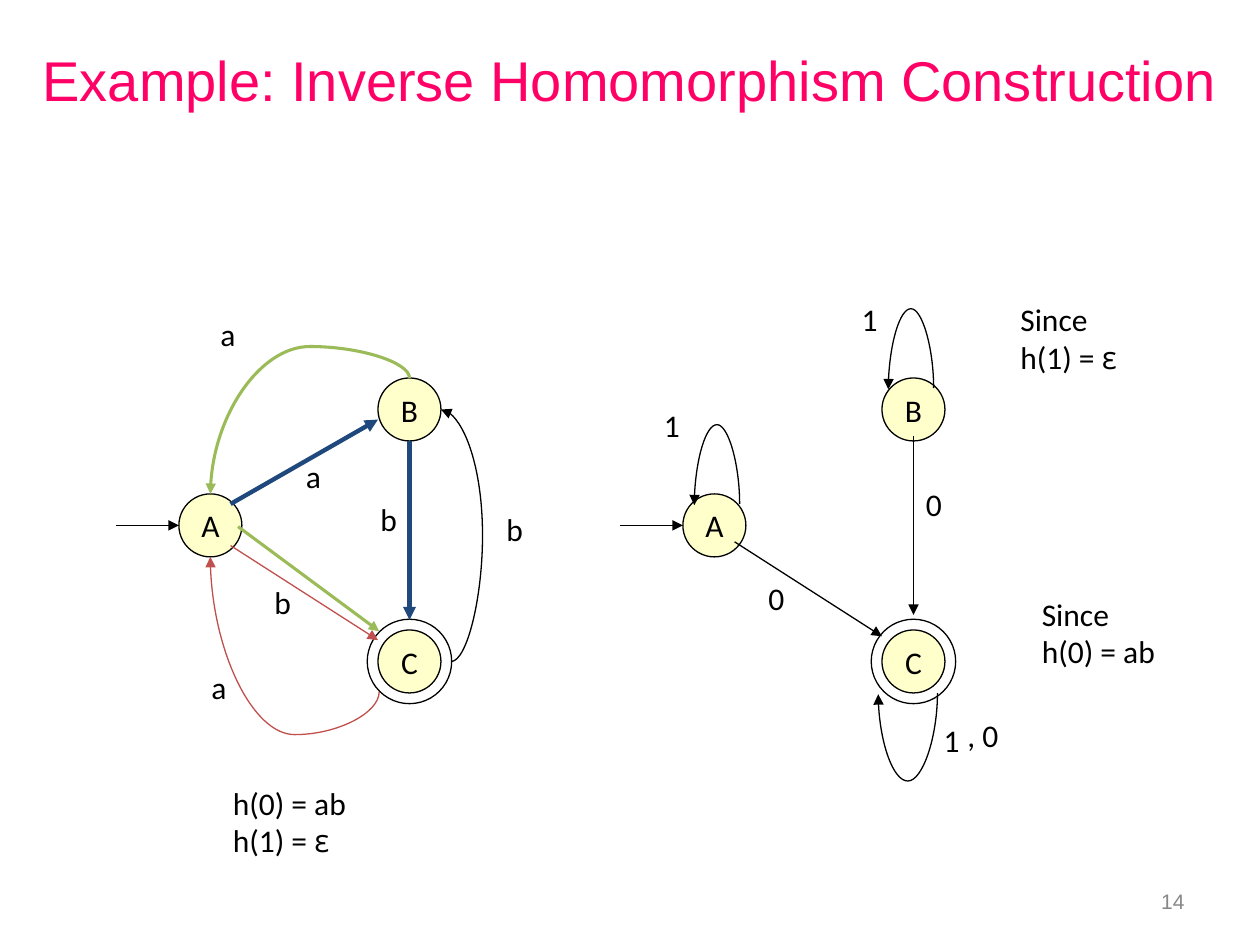
import pptx
import pptx.dml.color
import pptx.enum.shapes
import pptx.enum.text
import pptx.util
from pptx.oxml.ns import qn
from pptx.oxml.xmlchemy import OxmlElement
from pptx.util import Inches

COLORS = {"ink": "000000", "title": "FF0066", "state": "FFFF99", "number": "888888",
          "blue": "1F497D", "green": "9BBB59", "red": "C0504D"}
CONNECTOR = pptx.enum.shapes.MSO_CONNECTOR
ALIGN = pptx.enum.text.PP_ALIGN
MIDDLE = pptx.enum.text.MSO_ANCHOR.MIDDLE
STATES = {"A": (0.5, 1.59), "B": (2.08, 0.67), "C": (2.08, 2.67)}
STATE_SIZE, RING_SIZE = 0.5, 0.67


def rgb(name):
    return pptx.dml.color.RGBColor.from_string(COLORS[name])


def add_child(parent, tag, **attributes):
    child = OxmlElement(tag)
    for key, value in attributes.items():
        child.set(key, str(value))
    parent.append(child)


def style(font, size=18, color="ink", name="Calibri"):
    font.size = pptx.util.Pt(size)
    font.name = name
    font.color.rgb = rgb(color)


def add_text(slide, left, top, lines, width=0.39, height=0.5):
    """Epsilon gets a run of its own, in its own font."""
    frame = slide.shapes.add_textbox(Inches(left), Inches(top),
                                     Inches(width), Inches(height)).text_frame
    frame.word_wrap = True
    for index, line in enumerate(lines):
        paragraph = frame.add_paragraph() if index else frame.paragraphs[0]
        for part in filter(None, line.partition("ε")):
            run = paragraph.add_run()
            run.text = part
            style(run.font, name="Open Sans" if part == "ε" else "Calibri")
    return frame


def add_circle(slide, left, top, size):
    circle = slide.shapes.add_shape(pptx.enum.shapes.MSO_SHAPE.OVAL, Inches(left),
                                    Inches(top), Inches(size), Inches(size))
    circle.shadow.inherit = False
    circle.fill.background()
    circle.line.color.rgb = rgb("ink")
    circle.line.width = pptx.util.Pt(0.75)
    return circle


def add_state(slide, left, top, label):
    state = add_circle(slide, left, top, STATE_SIZE)
    state.fill.solid()
    state.fill.fore_color.rgb = rgb("state")
    add_child(state.fill._xPr.find(qn("a:solidFill"))[0], "a:alpha", val=50000)
    frame = state.text_frame
    frame.vertical_anchor = MIDDLE
    frame.text = label
    frame.paragraphs[0].alignment = ALIGN.CENTER
    style(frame.paragraphs[0].runs[0].font)


def finish_arrow(arrow, color, width):
    arrow.line.color.rgb = rgb(color)
    arrow.line.width = pptx.util.Pt(width)
    add_child(arrow.line._get_or_add_ln(), "a:tailEnd", type="triangle")
    add_child(arrow._element.spPr, "a:effectLst")


def add_arrow(slide, start, end, color="ink", width=0.75):
    arrow = slide.shapes.add_connector(CONNECTOR.STRAIGHT, *map(Inches, start + end))
    finish_arrow(arrow, color, width)


def add_curve(slide, start, end, bend, sideways=False, color="ink", width=0.75):
    """Curve leftwards from start to end, reaching out to bend (x if sideways, else y)."""
    axis = 0 if sideways else 1
    run, spread = end[axis] - start[axis], abs(end[1 - axis] - start[1 - axis])
    reach = abs(run)
    left = (start[0] + end[0] - reach) / 2
    top = (start[1] + end[1] - spread) / 2
    curve = slide.shapes.add_connector(CONNECTOR.CURVE, Inches(left), Inches(top),
                                       Inches(left + reach), Inches(top + spread))
    properties = curve._element.spPr
    frame = properties.find(qn("a:xfrm"))
    frame.set("rot", str((180 if sideways else 90) * 60000))
    if not sideways and run < 0:
        frame.set("flipH", "1")
    adjust = round((bend - start[axis]) / run * 100000)
    add_child(properties.find(qn("a:prstGeom")).find(qn("a:avLst")), "a:gd",
              name="adj1", fmla=f"val {adjust}")
    finish_arrow(curve, color, width)


def add_states(slide, left, top):
    """Three states, the accepting ring round C and the entry arrow to A."""
    for label, (x, y) in STATES.items():
        add_state(slide, left + x, top + y, label)
    x, y = STATES["C"]
    inset = (RING_SIZE - STATE_SIZE) / 2
    add_circle(slide, left + x - inset, top + y - inset, RING_SIZE)
    entry = top + STATES["A"][1] + STATE_SIZE / 2
    add_arrow(slide, (left, entry), (left + STATES["A"][0], entry))


def add_machine(slide, left, top, arrows, curves, labels, notes):
    def at(point):
        return left + point[0], top + point[1]

    add_states(slide, left, top)
    for start, end, *look in arrows:
        add_arrow(slide, at(start), at(end), *look)
    for start, end, bend, sideways, *look in curves:
        add_curve(slide, at(start), at(end), bend + (left if sideways else top),
                  sideways, *look)
    for text, point, *width in labels:
        add_text(slide, *at(point), [text], *width)
    for lines, point in notes:
        add_text(slide, *at(point), lines, 1.64, 0.9)


def add_original_machine(slide, left, top):
    arrows = [((0.91, 1.67), (2.08, 1), "blue", 2.5),
              ((0.91, 2), (2.08, 2.75), "red"),
              ((2.33, 1.17), (2.33, 2.59), "blue", 2.5),
              ((0.97, 1.85), (2.09, 2.68), "green", 1.75)]
    curves = [((2.66, 2.92), (2.58, 0.92), 2.91, True),
              ((2.33, 0.67), (0.75, 1.59), 0.42, False, "green", 1.75),
              ((2.09, 3.16), (0.75, 2.09), 3.5, False, "red")]
    labels = [("a", (0.73, 0.12)), ("a", (1.41, 1.25)), ("a", (0.66, 2.92)),
              ("b", (2, 1.59)), ("b", (3, 1.67)), ("b", (1.16, 2.25))]
    notes = [(["h(0) = ab", "h(1) = ε"], (0.83, 3.84))]
    add_machine(slide, left, top, arrows, curves, labels, notes)


def add_inverse_machine(slide, left, top):
    arrows = [((0.91, 1.97), (2.08, 2.72)), ((2.33, 1.13), (2.33, 2.55))]
    loops = [((0.95, 1.67), (0.59, 1.68), 1.03, False),
             ((2.49, 0.75), (2.13, 0.76), 0.11, False),
             ((2.52, 3.17), (2.05, 3.18), 3.88, False)]
    labels = [("1", (0.25, 0.84)), ("1", (1.82, 0)), ("1", (2.47, 3.34)),
              (", 0", (2.66, 3.3), 0.59), ("0", (1.08, 2.22)), ("0", (2.33, 1.47))]
    notes = [(["Since", "h(1) = ε"], (3.08, 0)), (["Since", "h(0) = ab"], (3.25, 2.34))]
    add_machine(slide, left, top, arrows, loops, labels, notes)


def set_title(slide, text):
    title = slide.shapes.title
    title.left, title.top, title.width, title.height = map(Inches, (0, 0, 10, 1.25))
    frame = title.text_frame
    frame.text = text
    frame.auto_size = pptx.enum.text.MSO_AUTO_SIZE.NONE
    frame.vertical_anchor = MIDDLE
    frame.paragraphs[0].alignment = ALIGN.CENTER
    style(frame.paragraphs[0].runs[0].font, 32, "title", "Arial")


def add_slide_number(slide, number):
    frame = add_text(slide, 7.17, 6.95, [number], 2.33, 0.4)
    frame.vertical_anchor = MIDDLE
    frame.paragraphs[0].alignment = ALIGN.RIGHT
    style(frame.paragraphs[0].runs[0].font, 12, "number", "Arial")


def main():
    deck = pptx.Presentation()
    deck.slide_width, deck.slide_height = Inches(10), Inches(7.5)
    slide = deck.slides.add_slide(deck.slide_layouts.get_by_name("Title Only"))
    set_title(slide, "Example: Inverse Homomorphism Construction")
    add_original_machine(slide, 0.92, 2.33)
    add_inverse_machine(slide, 4.92, 2.33)
    add_slide_number(slide, "14")
    deck.save("out.pptx")


if __name__ == "__main__":
    main()
